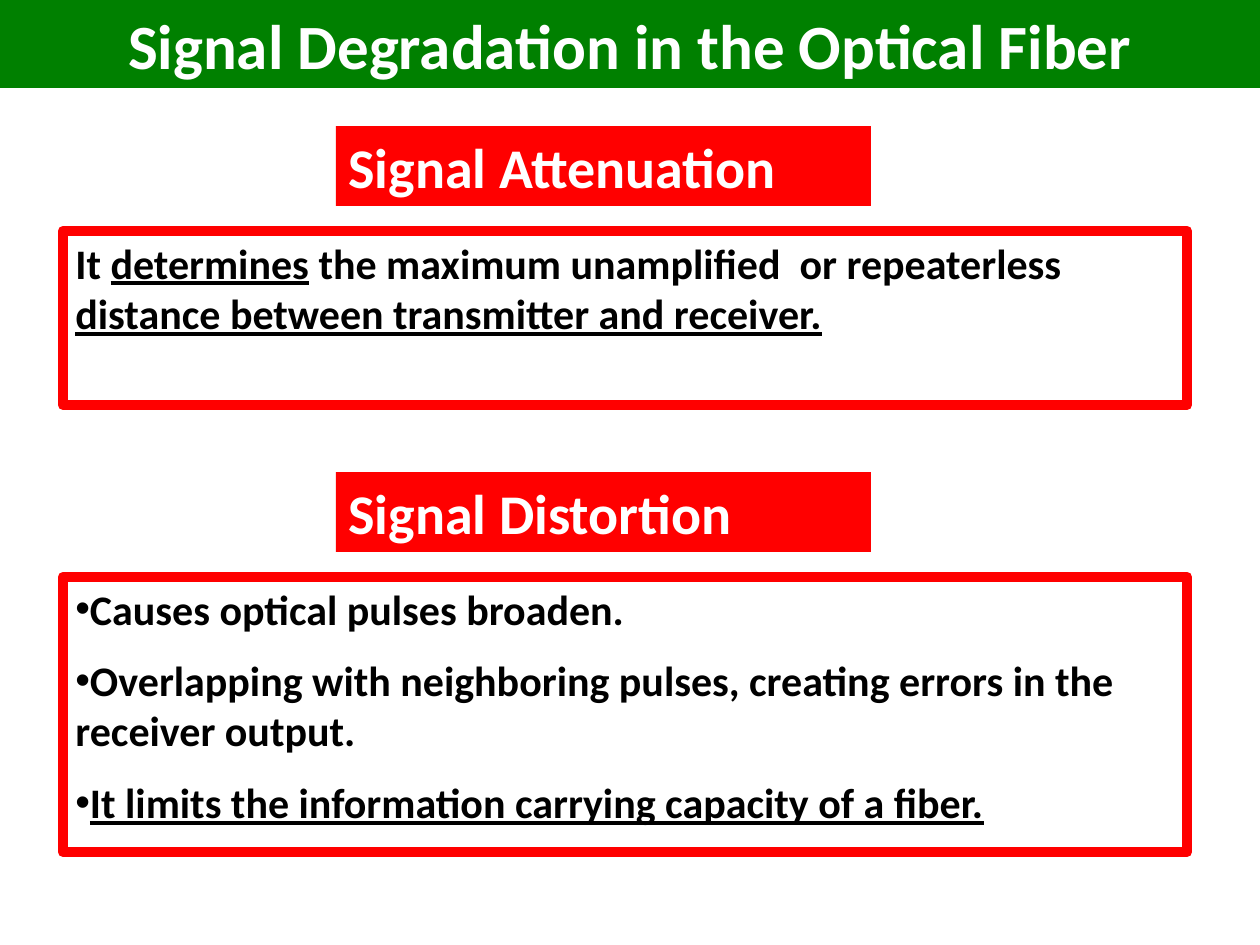
import dataclasses
import typing

import lxml.etree
import pptx
import pptx.dml.color
import pptx.enum.shapes
import pptx.enum.text
import pptx.oxml.ns
import pptx.util

EMU_PER_PX = 914400 / 126
GREEN, RED, WHITE, BLACK = "008000", "FF0000", "FFFFFF", "000000"
LEFT = pptx.enum.text.PP_ALIGN.LEFT
CENTER = pptx.enum.text.PP_ALIGN.CENTER


class Run(typing.NamedTuple):
    text: str
    underline: bool = False


@dataclasses.dataclass
class Topic:
    top: int
    heading: str
    body_height: int
    paragraphs: list[list[Run]]
    bulleted: bool = False


TOPICS = [
    Topic(126, "Signal Attenuation", 174, [[
        Run("It "),
        Run("determines", True),
        Run(" the maximum unamplified  or repeaterless "),
        Run("distance between transmitter and receiver.", True),
    ]]),
    Topic(472, "Signal Distortion", 275, [
        [Run("Causes optical pulses broaden.")],
        [Run("Overlapping with neighboring pulses, creating errors in the receiver output.")],
        [Run("It limits the information carrying capacity of a fiber.", True)],
    ], bulleted=True),
]


def px(length: int) -> int:
    return round(length * EMU_PER_PX)


def color(value: str) -> pptx.dml.color.RGBColor:
    return pptx.dml.color.RGBColor.from_string(value)


def apply(target: typing.Any, values: dict[str, typing.Any]) -> None:
    for name, value in values.items():
        setattr(target, name, value)


def add_bullet(paragraph: typing.Any) -> None:
    properties = paragraph._p.get_or_add_pPr()
    lxml.etree.SubElement(properties, pptx.oxml.ns.qn("a:buFont"), typeface="Arial")
    lxml.etree.SubElement(properties, pptx.oxml.ns.qn("a:buChar"), char="•")


def write(shape: typing.Any, paragraphs: list[list[Run]], size: int, ink: str,
          alignment: typing.Any = LEFT, bulleted: bool = False) -> None:
    frame = shape.text_frame
    apply(frame, {
        "word_wrap": True,
        "auto_size": pptx.enum.text.MSO_AUTO_SIZE.NONE,
        "vertical_anchor": pptx.enum.text.MSO_ANCHOR.TOP,
    })
    for index, runs in enumerate(paragraphs):
        paragraph = frame.add_paragraph() if index else frame.paragraphs[0]
        paragraph.alignment = alignment
        if index:
            paragraph.space_before = pptx.util.Pt(size / 2)
        if bulleted:
            add_bullet(paragraph)
        for text, underline in runs:
            run = paragraph.add_run()
            run.text = text
            apply(run.font, {
                "name": "Calibri",
                "size": pptx.util.Pt(size),
                "bold": True,
                "underline": underline,
            })
            run.font.color.rgb = color(ink)


def fill(shape: typing.Any, value: str) -> None:
    shape.fill.solid()
    shape.fill.fore_color.rgb = color(value)


def add_box(slide: typing.Any, left: int, top: int, width: int, height: int) -> typing.Any:
    box = slide.shapes.add_shape(
        pptx.enum.shapes.MSO_SHAPE.RECTANGLE, px(left), px(top), px(width), px(height))
    box.shadow.inherit = False
    return box


def add_title(slide: typing.Any, text: str) -> None:
    title = slide.shapes.title
    apply(title, {"left": 0, "top": 0, "width": px(1260), "height": px(88)})
    fill(title, GREEN)
    write(title, [[Run(text)]], 36, WHITE, CENTER)


def add_topic(slide: typing.Any, topic: Topic) -> None:
    heading = add_box(slide, 336, topic.top, 535, 80)
    fill(heading, RED)
    heading.line.fill.background()
    write(heading, [[Run(topic.heading)]], 32, WHITE)

    body = add_box(slide, 63, topic.top + 105, 1124, topic.body_height)
    body.fill.background()
    body.line.color.rgb = color(RED)
    body.line.width = pptx.util.Pt(6)
    write(body, topic.paragraphs, 24, BLACK, bulleted=topic.bulleted)


def main() -> None:
    deck = pptx.Presentation()
    apply(deck, {"slide_width": px(1260), "slide_height": px(945)})
    slide = deck.slides.add_slide(deck.slide_layouts.get_by_name("Title Only"))
    add_title(slide, "Signal Degradation in the Optical Fiber")
    for topic in TOPICS:
        add_topic(slide, topic)
    deck.save("out.pptx")


if __name__ == "__main__":
    main()
